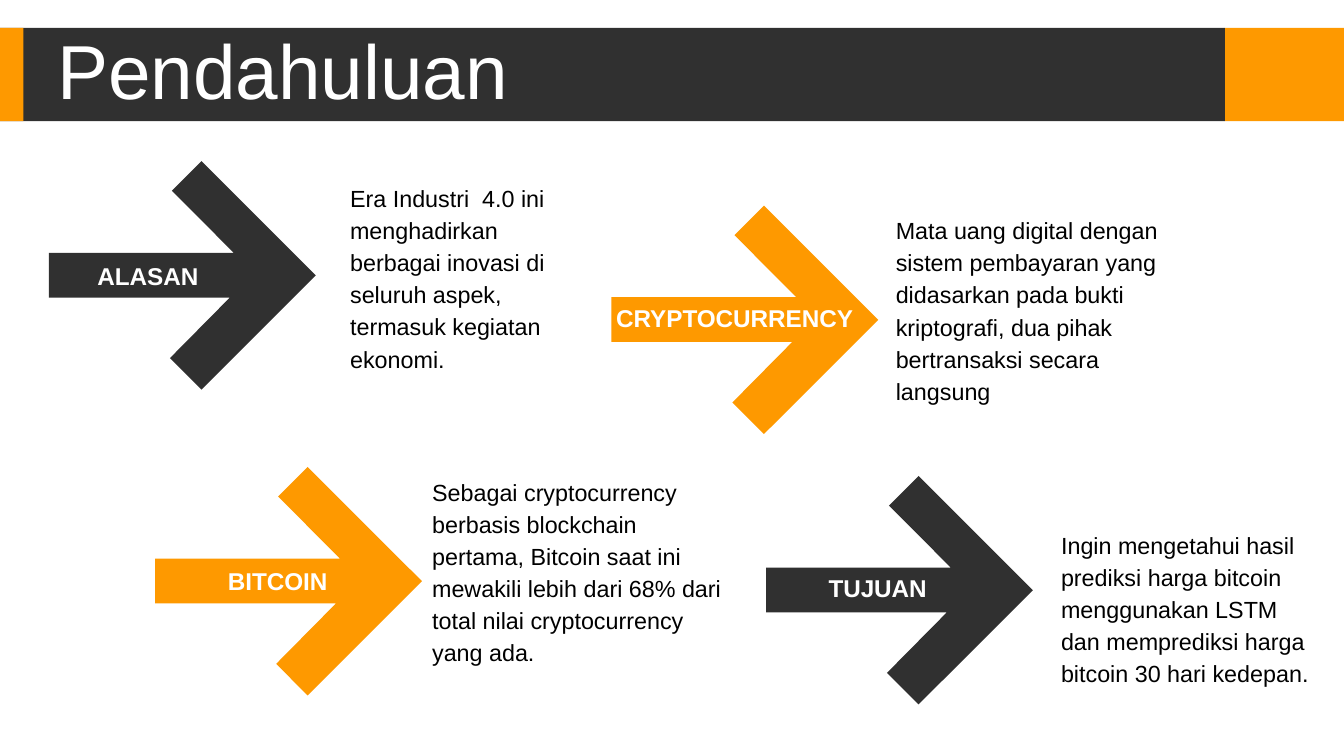
import pptx
import pptx.util
import pptx.dml.color
import pptx.enum.shapes
import pptx.enum.text

theme = {
    "font": "Arial",
    "dark": "303030",
    "accent": "FE9900",
    "light": "FFFFFF",
    "text": "000000",
    "title_size": 41,
    "label_size": 13,
    "body_size": 12.5,
}

presentation = pptx.Presentation()
presentation.slide_width = pptx.util.Inches(10)
presentation.slide_height = presentation.slide_width * 9 // 16
slide = presentation.slides.add_slide(presentation.slide_layouts[6])
grid = presentation.slide_width // 100
Align = pptx.enum.text.PP_ALIGN
Anchor = pptx.enum.text.MSO_ANCHOR


def paint(shape, color):
    shape.shadow.inherit = False
    shape.fill.solid()
    shape.fill.fore_color.rgb = pptx.dml.color.RGBColor.from_string(theme[color])
    shape.line.fill.background()


def add_text(text, *, box, size, color, bold=False, align=Align.LEFT,
             anchor=Anchor.MIDDLE, spacing=1.0):
    shape = slide.shapes.add_textbox(*(round(value * grid) for value in box))
    frame = shape.text_frame
    frame.word_wrap = True
    frame.vertical_anchor = anchor
    frame.margin_left = frame.margin_right = round(0.75 * grid)
    frame.margin_top = frame.margin_bottom = round(0.38 * grid)
    paragraph = frame.paragraphs[0]
    paragraph.alignment = align
    paragraph.line_spacing = spacing
    run = paragraph.add_run()
    run.text = text
    run.font.name = theme["font"]
    run.font.size = pptx.util.Pt(theme[size])
    run.font.bold = bold
    run.font.color.rgb = pptx.dml.color.RGBColor.from_string(theme[color])


banner_top, banner_height = 2.07, 6.95
for left, width, color in [(91.15, 8.85, "accent"), (0, 91.15, "dark"), (0, 1.75, "accent")]:
    band = slide.shapes.add_shape(
        pptx.enum.shapes.MSO_SHAPE.RECTANGLE,
        *(round(value * grid) for value in (left, banner_top, width, banner_height)))
    paint(band, color)

add_text("Pendahuluan", box=(3.5, 2.6, 72.7, 5.9), size="title_size",
         color="light", spacing=0.9)

arrow_outline = [(18.15, 6.8), (19.85, 8.5), (11.35, 17), (9, 14.65), (13.45, 10.15),
                 (0, 10.15), (0, 6.82), (13.75, 6.82), (9.15, 2.2), (11.35, 0)]

topics = [
    ("ALASAN", "dark", (3.65, 12), (6.5, 19.05, 17, 2.9), Align.LEFT,
     "Era Industri  4.0 ini menghadirkan berbagai inovasi di seluruh aspek, "
     "termasuk kegiatan ekonomi.", (25.3, 13, 18.9, 15)),
    ("BITCOIN", "accent", (11.55, 34.75), (14, 41.8, 13.3, 2.9), Align.CENTER,
     "Sebagai cryptocurrency berbasis blockchain pertama, Bitcoin saat ini mewakili "
     "lebih dari 68% dari total nilai cryptocurrency yang ada.", (31.4, 34.85, 23.1, 16.8)),
    ("TUJUAN", "dark", (57, 35.42), (58.65, 42.3, 13.3, 2.9), Align.CENTER,
     "Ingin mengetahui hasil prediksi harga bitcoin menggunakan LSTM dan "
     "memprediksi harga bitcoin 30 hari kedepan.", (78.2, 38.8, 20.6, 12.5)),
    ("CRYPTOCURRENCY", "accent", (45.5, 15.3), (45.1, 22.2, 34.4, 2.9), Align.LEFT,
     "Mata uang digital dengan sistem pembayaran yang didasarkan pada bukti "
     "kriptografi, dua pihak bertransaksi secara langsung", (65.9, 15.4, 23.1, 16.8)),
]

for label, color, (left, top), label_box, align, body, body_box in topics:
    points = [(round((left + x) * grid), round((top + y) * grid)) for x, y in arrow_outline]
    builder = slide.shapes.build_freeform(*points[0])
    builder.add_line_segments(points[1:], close=True)
    paint(builder.convert_to_shape(), color)
    add_text(label, box=label_box, size="label_size", color="light", bold=True, align=align)
    add_text(body, box=body_box, size="body_size", color="text",
             anchor=Anchor.TOP, spacing=1.15)

presentation.save("out.pptx")
